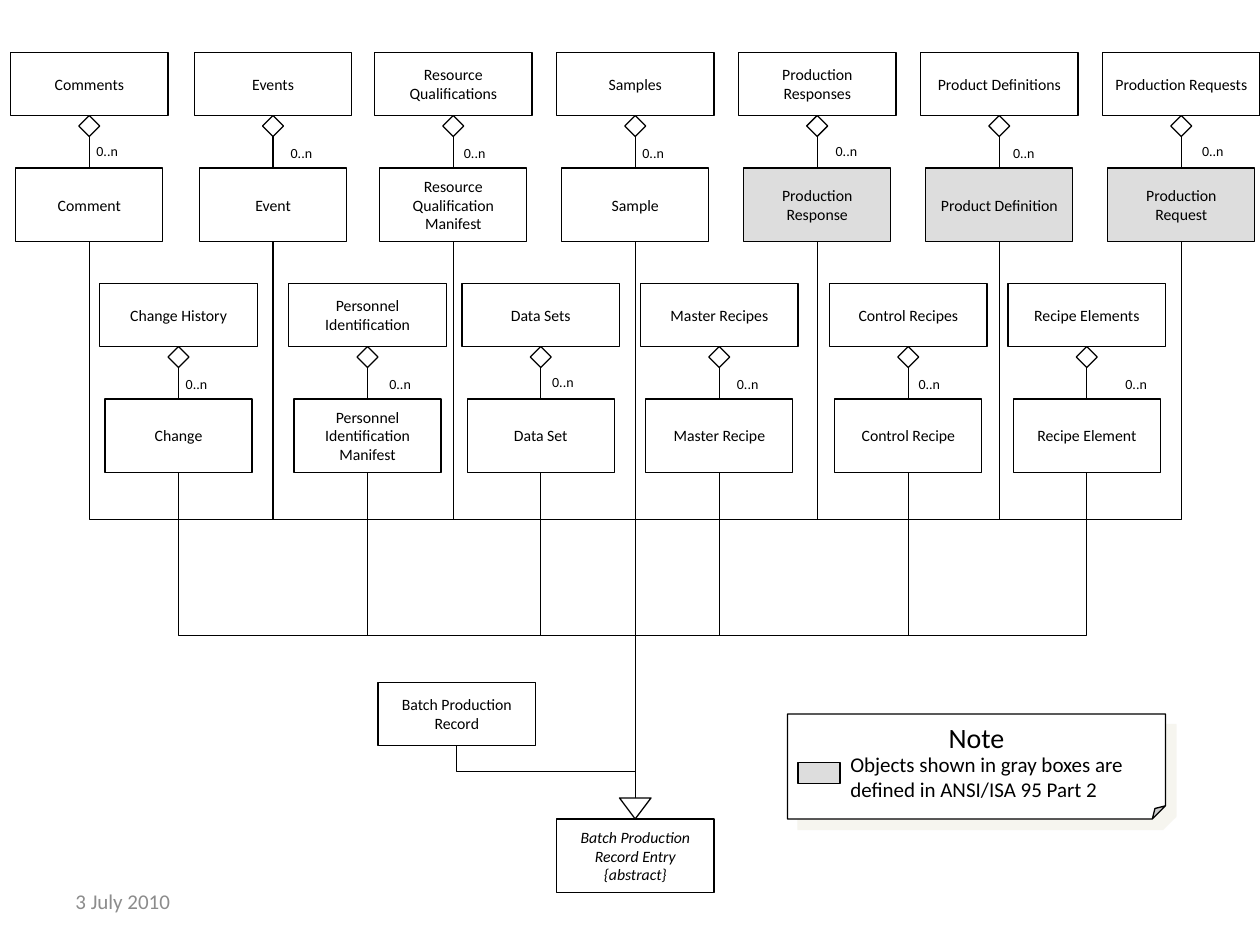
from pptx import Presentation
from pptx.util import Inches, Pt
from pptx.dml.color import RGBColor
from pptx.enum.shapes import MSO_SHAPE, MSO_CONNECTOR
from pptx.enum.text import PP_ALIGN, MSO_ANCHOR
from pptx.oxml.ns import qn
from lxml import etree

RECT, DIAMOND = MSO_SHAPE.RECTANGLE, MSO_SHAPE.DIAMOND
TRIANGLE, FOLDED = MSO_SHAPE.ISOSCELES_TRIANGLE, MSO_SHAPE.FOLDED_CORNER
STRAIGHT, ELBOW = MSO_CONNECTOR.STRAIGHT, MSO_CONNECTOR.ELBOW
LEFT, CENTER = PP_ALIGN.LEFT, PP_ALIGN.CENTER
TOP, MIDDLE = MSO_ANCHOR.TOP, MSO_ANCHOR.MIDDLE
COLORS = {"ink": "000000", "white": "FFFFFF", "gray": "DDDDDD",
          "date": "8C8C8C", "shadow": "EEECE1"}

# The grid has 120 columns and 90 rows of one twelfth of an inch
UNIT = Inches(1) / 12
deck = Presentation()
deck.slide_width, deck.slide_height = Inches(10), Inches(7.5)
slide = deck.slides.add_slide(deck.slide_layouts[6])
shapes = slide.shapes


def write(text, box=None, at=None, size=9, color="ink", align=CENTER,
          anchor=MIDDLE, italic=False, wrap=True):
    """Put text in a box, or in a new text box at a grid place."""
    box = box or shapes.add_textbox(*[round(v * UNIT) for v in at])
    frame = box.text_frame
    frame.text = text
    frame.word_wrap = wrap
    frame.vertical_anchor = anchor
    for para in frame.paragraphs:
        para.alignment = align
        font = para.font
        font.name, font.size, font.italic = "Calibri", Pt(size), italic
        font.color.rgb = RGBColor.from_string(COLORS[color])
    return box


def draw(kind, left, top, width, height, fill="white"):
    """Draw an outlined shape at a grid place."""
    shape = shapes.add_shape(kind, *[round(v * UNIT) for v in (left, top, width, height)])
    shape.shadow.inherit = False
    if fill:
        shape.fill.solid()
        shape.fill.fore_color.rgb = RGBColor.from_string(COLORS[fill])
    else:
        shape.fill.background()
    shape.line.color.rgb = RGBColor.from_string(COLORS["ink"])
    shape.line.width = Pt(0.75)
    return shape


# Middle column, list name, item name, item fill, count column and row offset
UPPER = [
    (8.5, "Comments", "Comment", "white", 8, 8),
    (26, "Events", "Event", "white", 26.5, 8.2),
    (43.17, "Resource Qualifications", "Resource Qualification Manifest", "white", 43, 8.2),
    (60.5, "Samples", "Sample", "white", 60, 8.2),
    (77.83, "Production Responses", "Production Response", "gray", 78.4, 8),
    (95.17, "Product Definitions", "Product Definition", "gray", 95.3, 8.2),
    (112.5, "Production Requests", "Production Request", "gray", 113.3, 8),
]
LOWER = [
    (17, "Change History", "Change", "white", 16.5, 8.2),
    (35, "Personnel Identification", "Personnel Identification Manifest", "white", 35.9, 8.2),
    (51.5, "Data Sets", "Data Set", "white", 51.4, 8),
    (68.5, "Master Recipes", "Master Recipe", "white", 69, 8.2),
    (86.5, "Control Recipes", "Control Recipe", None, 86.3, 8.2),
    (103.5, "Recipe Elements", "Recipe Element", "white", 106, 8.2),
]
TRUNK, BASE = 60.5, 76
wires = []
ends = [(43.5, 71)]

# Lists, diamonds and items
for top, row in ((5, UPPER), (27, LOWER)):
    for mid, name, item, fill, col, drop in row:
        write(name, draw(RECT, mid - 7.5, top, 15, 6))
        gem = draw(DIAMOND, mid - 1, top + 6, 2, 2)
        box = write(item, draw(RECT, mid - 7, top + 11, 14, 7, fill))
        wire = shapes.add_connector(STRAIGHT, 0, 0, 0, 0)
        wire.begin_connect(box, 0)
        wire.end_connect(gem, 2)
        wires.append(wire)
        write("0..n", at=(col, top + drop, 4.7, 2.8), size=8, align=LEFT,
              anchor=TOP, wrap=False)
        if mid == TRUNK:
            x, y = round(TRUNK * UNIT), round(BASE * UNIT)
            stem = shapes.add_connector(STRAIGHT, x, y, x, y)
            stem.end_connect(box, 2)
            wires.append(stem)
        else:
            ends.append((mid, top + 18))

# Batch record
write("Batch Production Record", draw(RECT, 36, 65, 15, 6))

# Elbows from the trunk: laid flat around their centre, then turned upright
for mid, low in ends:
    x, y = (TRUNK + mid) / 2, (BASE + low) / 2
    wide, high = (BASE - low) / 2, abs(TRUNK - mid) / 2
    side = 1 if mid < TRUNK else -1
    wire = shapes.add_connector(ELBOW, *[round(v * UNIT) for v in (
        x + side * wide, y - high, x - side * wide, y + high)])
    wire._element.spPr.find(qn("a:xfrm")).set("rot", str((90 if side > 0 else 270) * 60000))
    wires.append(wire)

for wire in wires:
    wire.line.color.rgb = RGBColor.from_string(COLORS["ink"])
    wire.line.width = Pt(0.75)
    etree.SubElement(wire._element.spPr, qn("a:effectLst"))

# Abstract entry with its arrow
entry = write("Batch Production Record Entry\n{abstract}",
              draw(RECT, 53, 78, 15, 7), italic=True)
arrow = draw(TRIANGLE, 59, BASE, 3, 2)
arrow._element.spPr.find(qn("a:xfrm")).set("flipV", "1")
shapes.add_group_shape([entry, arrow])

# Note with its folded corner and shadow
note = write("Note", draw(FOLDED, 75, 68, 36, 10), size=16, anchor=TOP, wrap=False)
form = note._element.spPr.find(qn("a:prstGeom"))
for part in list(form):
    form.remove(part)
fold = etree.SubElement(form, qn("a:avLst"))
etree.SubElement(fold, qn("a:gd"), name="adj", fmla="val 12500")
cast = etree.SubElement(note._element.spPr.find(qn("a:effectLst")), qn("a:outerShdw"),
                        dist=str(Pt(8.5)), dir=str(45 * 60000), algn="ctr", rotWithShape="0")
tint = etree.SubElement(cast, qn("a:srgbClr"), val=COLORS["shadow"])
etree.SubElement(tint, qn("a:alpha"), val="50000")
swatch = draw(RECT, 76, 72.6, 4, 2, "gray")
legend = write("Objects shown in gray boxes are\ndefined in ANSI/ISA 95 Part 2",
               at=(79.8, 71, 31.3, 6), size=12, align=LEFT, anchor=TOP, wrap=False)
shapes.add_group_shape([note, swatch, legend])

# Date
write("3 July 2010", at=(6, 83.4, 28, 4.8), size=12, color="date", align=LEFT)

deck.save("out.pptx")
